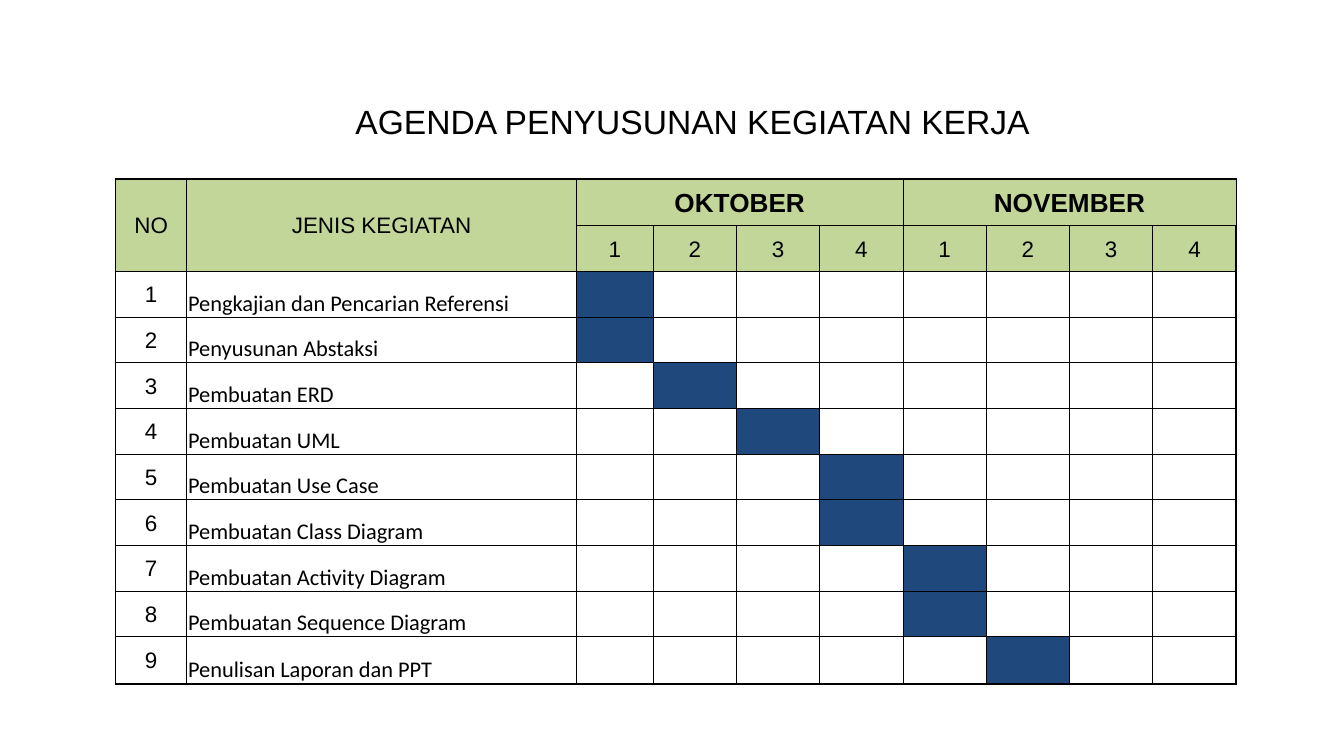
from lxml import etree
from pptx import Presentation
from pptx.dml.color import RGBColor
from pptx.enum.text import MSO_ANCHOR as Anchor, PP_ALIGN as Align
from pptx.oxml.ns import qn
from pptx.util import Inches, Pt

BLACK, GREEN, BLUE = "000000", "C2D69A", "1F497D"
SLIDE_WIDTH = 10
COLUMN_WIDTHS = [0.53, 2.9, 0.57] + [0.62] * 7
ROW_HEIGHTS = [0.35] + [0.34] * 9 + [0.35]
MONTHS = ["OKTOBER", "NOVEMBER"]
WEEKS_PER_MONTH = 4
FIRST_WEEK_COLUMN = 2
HEADER_ROWS = 2

# Activity and the week, counted from the start of October
ACTIVITIES = [
    ("Pengkajian dan Pencarian Referensi", 1),
    ("Penyusunan Abstaksi", 1),
    ("Pembuatan ERD", 2),
    ("Pembuatan UML", 3),
    ("Pembuatan Use Case", 4),
    ("Pembuatan Class Diagram", 4),
    ("Pembuatan Activity Diagram", 5),
    ("Pembuatan Sequence Diagram", 5),
    ("Penulisan Laporan dan PPT", 6),
]


def color(value):
    return RGBColor.from_string(value)


def write(paragraph, text, size=12, font="Arial", bold=False, align=Align.CENTER):
    paragraph.text = text
    paragraph.alignment = align
    paragraph.font.size = Pt(size)
    paragraph.font.name = font
    paragraph.font.bold = bold
    paragraph.font.color.rgb = color(BLACK)


def fill_cell(cell, value):
    cell.fill.solid()
    cell.fill.fore_color.rgb = color(value)


def set_borders(cell, widths):
    """Draw the borders; widths are points for left, right, top and bottom."""
    properties = cell._tc.get_or_add_tcPr()
    for position, (side, width) in enumerate(zip("LRTB", widths)):
        line = etree.Element(qn(f"a:ln{side}"), w=str(Pt(width)))
        fill = etree.SubElement(line, qn("a:solidFill"))
        etree.SubElement(fill, qn("a:srgbClr"), val=BLACK)
        properties.insert(position, line)


def add_title(slide, text):
    box = slide.shapes.add_textbox(Inches(2.42), Inches(0.7), Inches(5.47), Inches(0.4))
    box.text_frame.word_wrap = True
    write(box.text_frame.paragraphs[0], text, size=18)


def add_grid(slide):
    """Add the empty schedule: sizes, margins, borders and header colour."""
    rows, columns = len(ROW_HEIGHTS), len(COLUMN_WIDTHS)
    frame = slide.shapes.add_table(
        rows, columns, Inches(0.86), Inches(1.33),
        Inches(sum(COLUMN_WIDTHS)), Inches(sum(ROW_HEIGHTS)))
    table = frame.table
    for column, width in zip(table.columns, COLUMN_WIDTHS):
        column.width = Inches(width)
    for row, height in zip(table.rows, ROW_HEIGHTS):
        row.height = Inches(height)

    for r in range(rows):
        for c in range(columns):
            cell = table.cell(r, c)
            cell.margin_left = cell.margin_right = cell.margin_top = Inches(0.01)
            cell.margin_bottom = 0
            cell.vertical_anchor = Anchor.MIDDLE
            if r < HEADER_ROWS:
                fill_cell(cell, GREEN)
            else:
                cell.fill.background()
            # The outer frame is thicker than the inner lines
            outer = (c == 0, c == columns - 1, r == 0, r == rows - 1)
            set_borders(cell, [1 if edge else 0.5 for edge in outer])
    return table


def write_header(table):
    for column, label in enumerate(["NO", "JENIS KEGIATAN"]):
        cell = table.cell(0, column)
        cell.merge(table.cell(1, column))
        write(cell.text_frame.paragraphs[0], label)
    for index, month in enumerate(MONTHS):
        first = FIRST_WEEK_COLUMN + index * WEEKS_PER_MONTH
        cell = table.cell(0, first)
        cell.merge(table.cell(0, first + WEEKS_PER_MONTH - 1))
        write(cell.text_frame.paragraphs[0], month, size=14, bold=True)
        for week in range(WEEKS_PER_MONTH):
            week_cell = table.cell(1, first + week)
            write(week_cell.text_frame.paragraphs[0], str(week + 1))


def write_activities(table):
    for number, (activity, week) in enumerate(ACTIVITIES, start=1):
        row = HEADER_ROWS + number - 1
        write(table.cell(row, 0).text_frame.paragraphs[0], str(number))
        name_cell = table.cell(row, 1)
        name_cell.vertical_anchor = Anchor.BOTTOM
        write(name_cell.text_frame.paragraphs[0], activity,
              font="Calibri", align=Align.LEFT)
        fill_cell(table.cell(row, FIRST_WEEK_COLUMN + week - 1), BLUE)


def main():
    presentation = Presentation()
    presentation.slide_width = Inches(SLIDE_WIDTH)
    presentation.slide_height = Inches(SLIDE_WIDTH * 9 / 16)
    slide = presentation.slides.add_slide(presentation.slide_layouts[6])

    # Schedule
    table = add_grid(slide)
    write_header(table)
    write_activities(table)

    # Title
    add_title(slide, "AGENDA PENYUSUNAN KEGIATAN KERJA")

    presentation.save("out.pptx")


if __name__ == "__main__":
    main()
